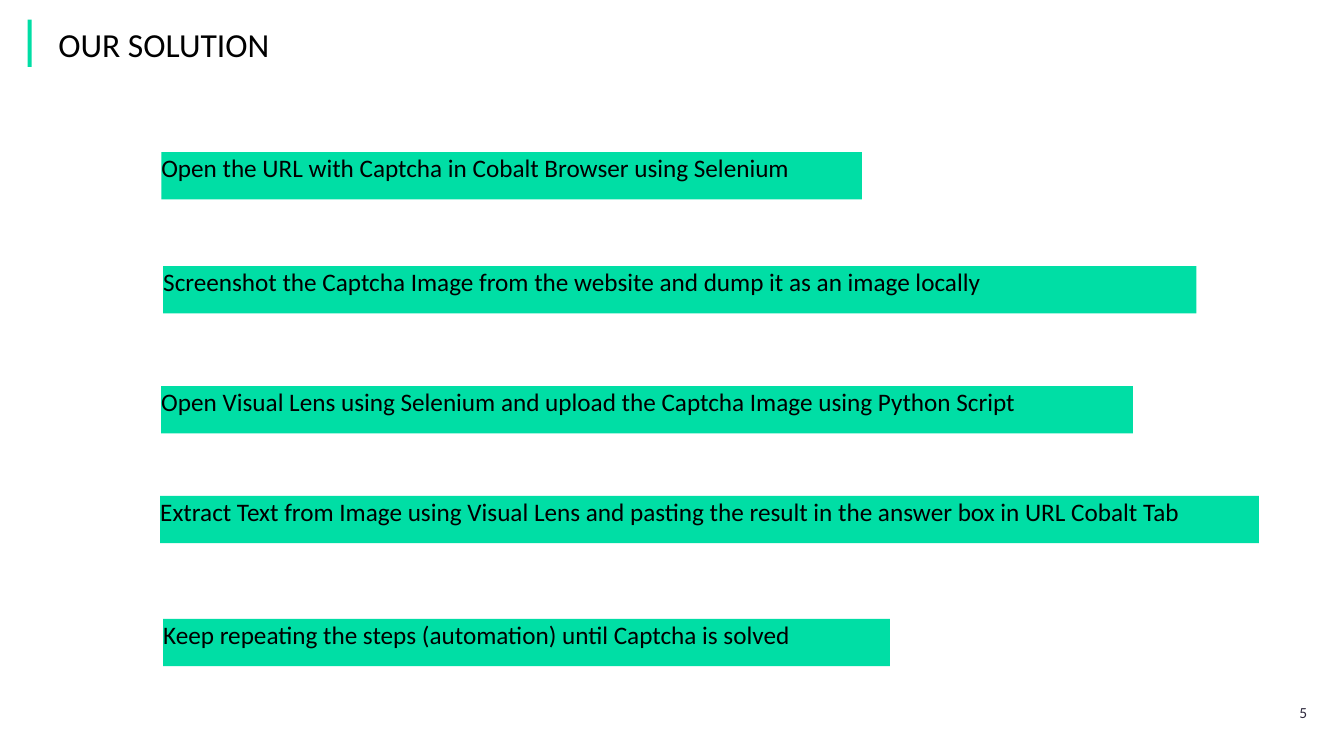
from pptx import Presentation
from pptx.dml.color import RGBColor
from pptx.enum import shapes, text
from pptx.util import Pt

GREEN, BLACK, NAVY = "00DEA5", "000000", "2E293D"
BAR_HEIGHT = 33.8

# Left, top, width and wording of each step
STEPS = [
    (115.2, 108.7, 500.4, "Open the URL with Captcha in Cobalt Browser using Selenium"),
    (116.6, 190.1, 738, "Screenshot the Captcha Image from the website and dump it as an image locally"),
    (115.2, 275.8, 694.1, "Open Visual Lens using Selenium and upload the Captcha Image using Python Script"),
    (114.5, 354.2, 784.8, "Extract Text from Image using Visual Lens and pasting the result "
                          "in the answer box in URL Cobalt Tab"),
    (116.6, 442.1, 519.1, "Keep repeating the steps (automation) until Captcha is solved"),
]


def color(hex_code):
    return RGBColor.from_string(hex_code)


def write(shape, words, size=18, ink=BLACK, align=text.PP_ALIGN.LEFT, insets=(0, 0, 0, 0)):
    frame = shape.text_frame
    frame.text = words
    frame.word_wrap = True
    frame.auto_size = text.MSO_AUTO_SIZE.NONE
    frame.vertical_anchor = text.MSO_ANCHOR.TOP
    (frame.margin_left, frame.margin_top,
     frame.margin_right, frame.margin_bottom) = map(Pt, insets)
    paragraph = frame.paragraphs[0]
    paragraph.alignment = align
    font = paragraph.runs[0].font
    font.name, font.size = "Calibri", Pt(size)
    font.color.rgb = color(ink)


def add_bar(slide, left, top, width, height=BAR_HEIGHT):
    bar = slide.shapes.add_shape(shapes.MSO_SHAPE.RECTANGLE,
                                 Pt(left), Pt(top), Pt(width), Pt(height))
    bar.shadow.inherit = False
    bar.fill.solid()
    bar.fill.fore_color.rgb = color(GREEN)
    bar.line.fill.background()
    return bar


def set_title(slide, words):
    title = slide.shapes.title
    title.left, title.top, title.width, title.height = map(Pt, (19.4, 13.7, 882.7, 33.8))
    write(title, words, size=24, insets=(22.3, 3.6, 7.2, 3.6))


def add_page_number(slide, number):
    page = slide.shapes.add_textbox(Pt(902.2), Pt(499), Pt(57.6), Pt(20.9))
    write(page, number, size=11, ink=NAVY, align=text.PP_ALIGN.CENTER,
          insets=(7.2, 3.6, 7.2, 3.6))


def main():
    deck = Presentation()
    deck.slide_width, deck.slide_height = Pt(960), Pt(540)
    slide = deck.slides.add_slide(deck.slide_layouts[5])

    # Heading with its accent bar, and page number
    add_bar(slide, 19.8, 14, 2.9)
    set_title(slide, "OUR SOLUTION")
    add_page_number(slide, "5")

    # Steps of the solution
    for left, top, width, step in STEPS:
        write(add_bar(slide, left, top, width), step)

    deck.save("out.pptx")


if __name__ == "__main__":
    main()
